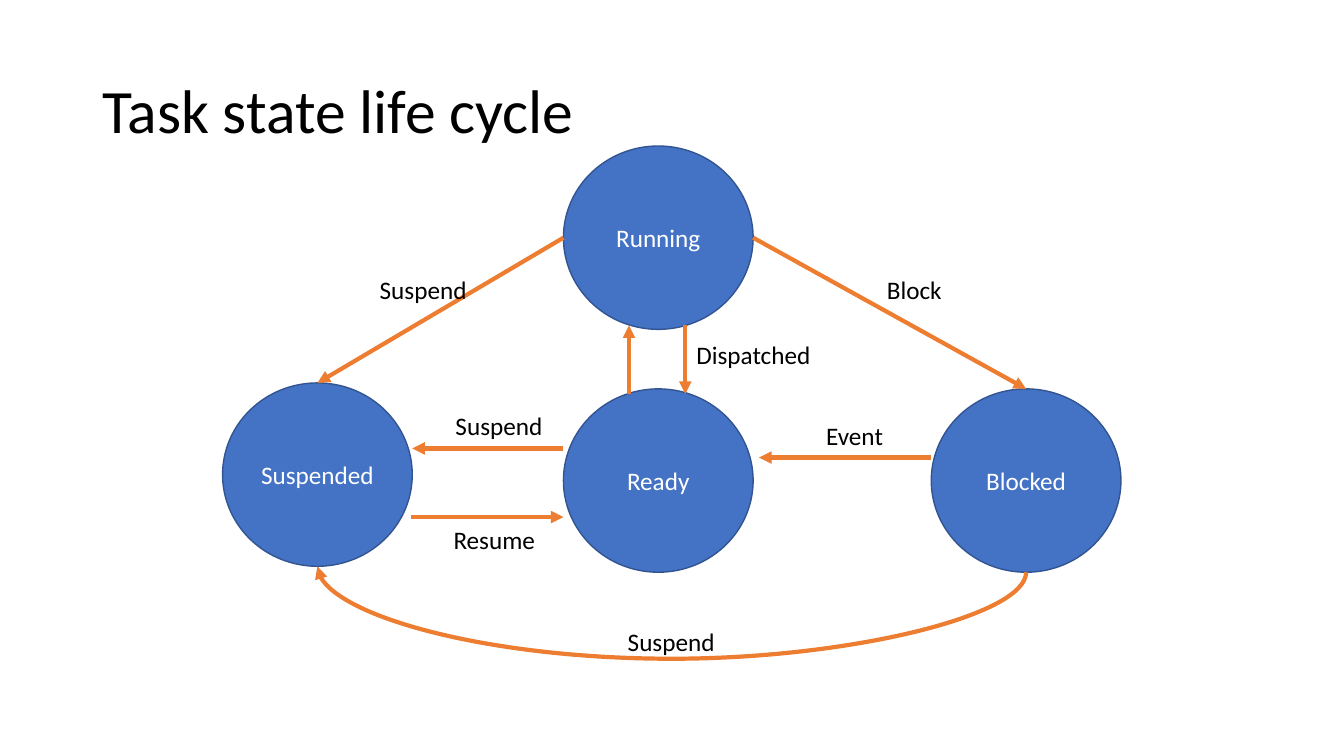
from lxml import etree
from pptx import Presentation
from pptx.dml.color import RGBColor
from pptx.enum.shapes import MSO_CONNECTOR, MSO_SHAPE
from pptx.enum.text import MSO_ANCHOR, MSO_AUTO_SIZE, PP_ALIGN
from pptx.oxml.ns import qn
from pptx.util import Cm, Pt

STRAIGHT, CURVE = MSO_CONNECTOR.STRAIGHT, MSO_CONNECTOR.CURVE
OVAL = MSO_SHAPE.OVAL
MIDDLE = MSO_ANCHOR.MIDDLE
GROW = MSO_AUTO_SIZE.SHAPE_TO_FIT_TEXT
CENTER, LEFT = PP_ALIGN.CENTER, PP_ALIGN.LEFT

BLUE = RGBColor(0x44, 0x72, 0xC4)
DARK_BLUE = RGBColor(0x32, 0x54, 0x91)
ORANGE = RGBColor(0xED, 0x7D, 0x31)
BLACK = RGBColor(0, 0, 0)
WHITE = RGBColor(0xFF, 0xFF, 0xFF)

STATE_WIDTH, STATE_HEIGHT = 4.78, 4.62


class StateDiagram:
    font_name = "Calibri"
    text_size = 18
    title_size = 44
    arrow_width = 3

    def __init__(self, slide):
        self.slide = slide

    def set_text(self, shape, text, size, color, alignment):
        paragraph = shape.text_frame.paragraphs[0]
        paragraph.text = text
        paragraph.alignment = alignment
        paragraph.font.name = self.font_name
        paragraph.font.size = Pt(size)
        paragraph.font.color.rgb = color
        return paragraph

    def title(self, text, left, top, width, height):
        box = self.slide.shapes.add_textbox(Cm(left), Cm(top), Cm(width), Cm(height))
        box.text_frame.word_wrap = True
        box.text_frame.vertical_anchor = MIDDLE
        paragraph = self.set_text(box, text, self.title_size, BLACK, LEFT)
        paragraph.line_spacing = 0.9

    def state(self, name, left, top):
        shape = self.slide.shapes.add_shape(
            OVAL, Cm(left), Cm(top), Cm(STATE_WIDTH), Cm(STATE_HEIGHT))
        shape.shadow.inherit = False
        shape.fill.solid()
        shape.fill.fore_color.rgb = BLUE
        shape.line.color.rgb = DARK_BLUE
        shape.line.width = Pt(1)
        shape.text_frame.vertical_anchor = MIDDLE
        self.set_text(shape, name, self.text_size, WHITE, CENTER)

    def label(self, text, left, top, width):
        box = self.slide.shapes.add_textbox(Cm(left), Cm(top), Cm(width), Cm(1.03))
        box.text_frame.word_wrap = False
        box.text_frame.auto_size = GROW
        self.set_text(box, text, self.text_size, BLACK, LEFT)

    def arrow(self, start, end, kind=STRAIGHT):
        connector = self.slide.shapes.add_connector(
            kind, *(Cm(length) for length in (*start, *end)))
        connector.line.color.rgb = ORANGE
        connector.line.width = Pt(self.arrow_width)
        properties = connector._element.spPr
        etree.SubElement(properties.find(qn("a:ln")), qn("a:tailEnd"), type="triangle")
        etree.SubElement(properties, qn("a:effectLst"))
        return properties

    def curve_below(self, start, end, depth):
        center_x, center_y = (start[0] + end[0]) / 2, (start[1] + end[1]) / 2
        half_span, rise = (start[0] - end[0]) / 2, start[1] - end[1]
        properties = self.arrow(
            (center_x + rise / 2, center_y - half_span),
            (center_x - rise / 2, center_y + half_span), CURVE)
        properties.find(qn("a:xfrm")).set("rot", "5400000")
        adjustments = properties.find(qn("a:prstGeom")).find(qn("a:avLst"))
        bend = round(-depth / rise * 100000)
        etree.SubElement(adjustments, qn("a:gd"), name="adj1", fmla=f"val {bend}")


def side(state, across, down):
    left, top = STATES[state]
    return left + across * STATE_WIDTH, top + down * STATE_HEIGHT


STATES = {
    "Running": (14.2, 3.68),
    "Suspended": (5.61, 9.65),
    "Blocked": (23.47, 9.8),
    "Ready": (14.2, 9.8),
}
ARROWS = [
    ((15.85, 9.93), (15.85, 8.2)),
    ((17.27, 8.2), (17.27, 9.93)),
    (side("Running", 1, 0.5), side("Blocked", 0.5, 0)),
    (side("Running", 0, 0.5), side("Suspended", 0.5, 0)),
    ((23.47, 11.53), (19.13, 11.53)),
    ((14.2, 11.3), (10.39, 11.3)),
    ((10.36, 13.03), (14.2, 13.03)),
]
LABELS = [
    ("Block", 22.1, 6.78, 1.9),
    ("Event", 20.57, 10.46, 1.96),
    ("Dispatched", 17.3, 8.43, 3.43),
    ("Resume", 11.18, 13.08, 2.59),
    ("Suspend", 11.23, 10.21, 2.72),
    ("Suspend", 9.32, 6.78, 2.72),
    ("Suspend", 15.57, 15.67, 2.72),
]

presentation = Presentation()
presentation.slide_width, presentation.slide_height = Cm(33.87), Cm(19.05)
diagram = StateDiagram(presentation.slides.add_slide(presentation.slide_layouts[6]))

diagram.title("Task state life cycle", 2.33, 1.01, 29.21, 3.68)
for name, position in STATES.items():
    diagram.state(name, *position)
for start, end in ARROWS:
    diagram.arrow(start, end)
diagram.curve_below(side("Blocked", 0.5, 1), side("Suspended", 0.5, 1), 2.18)
for label in LABELS:
    diagram.label(*label)

presentation.save("out.pptx")
